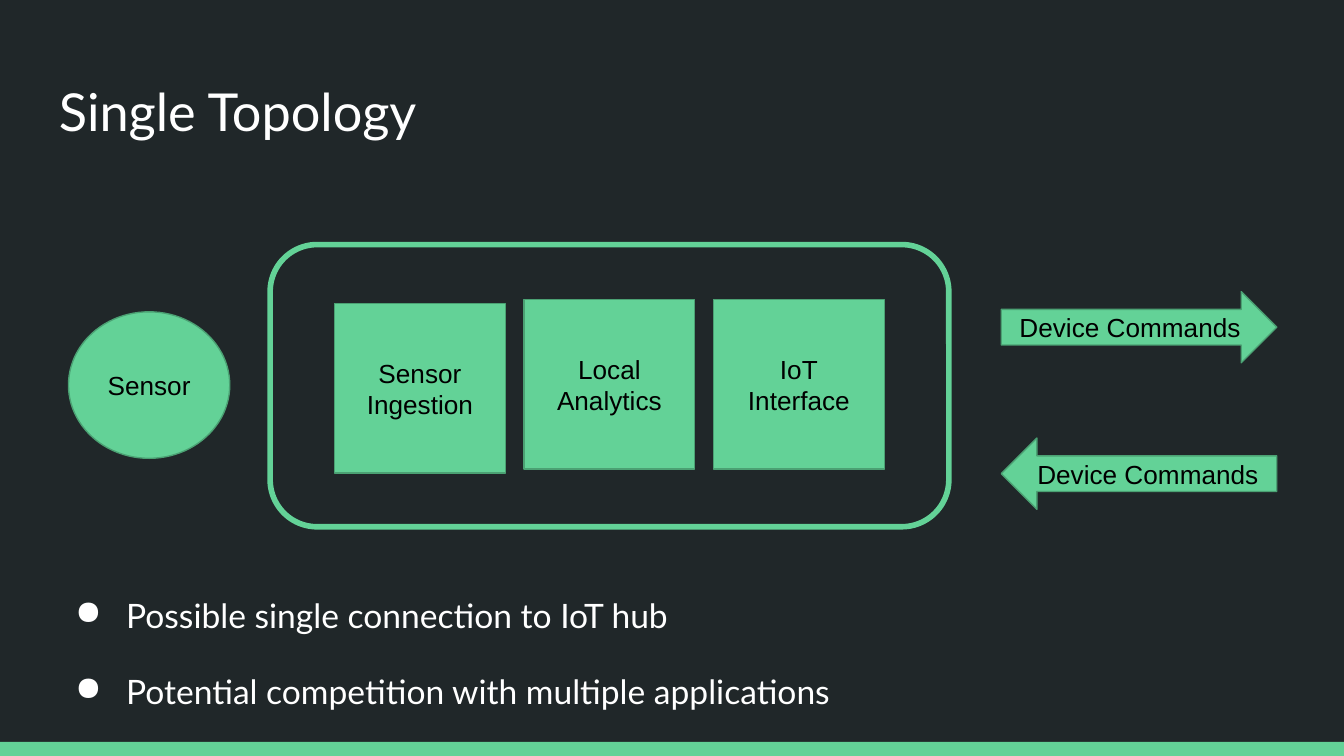
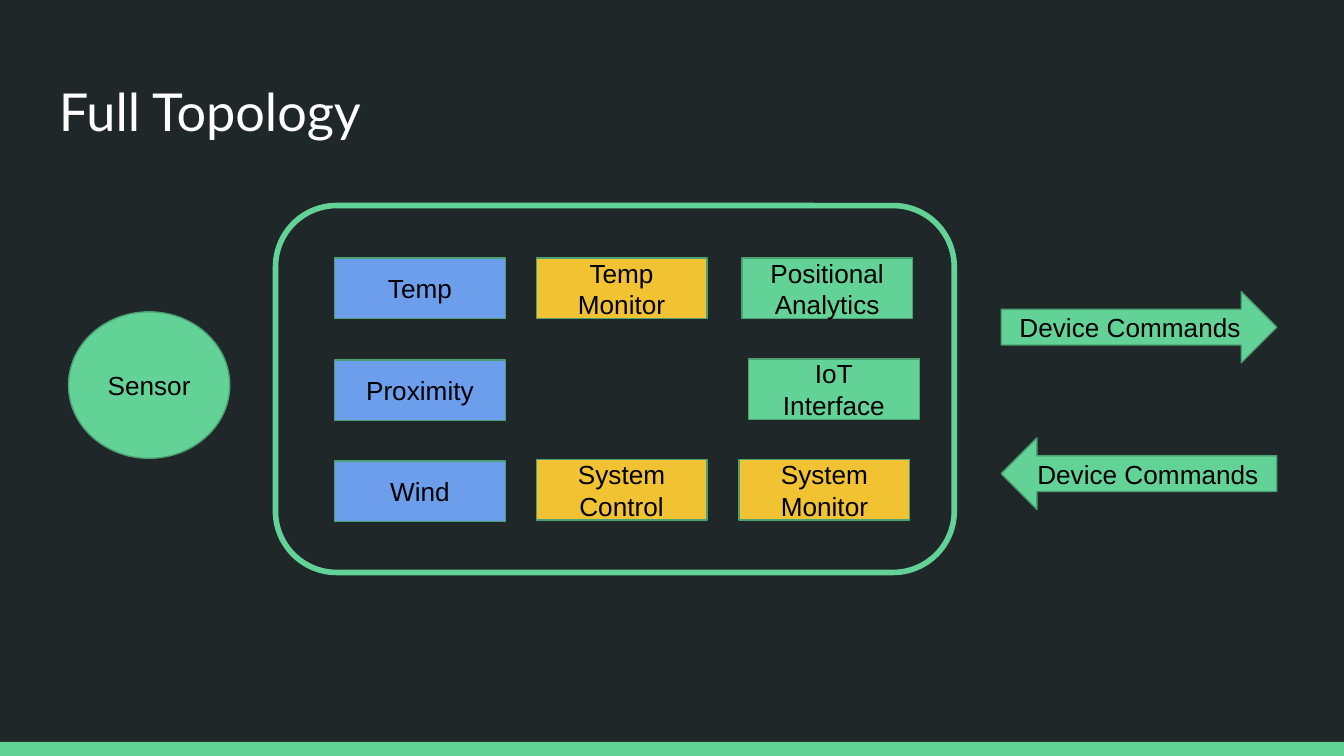
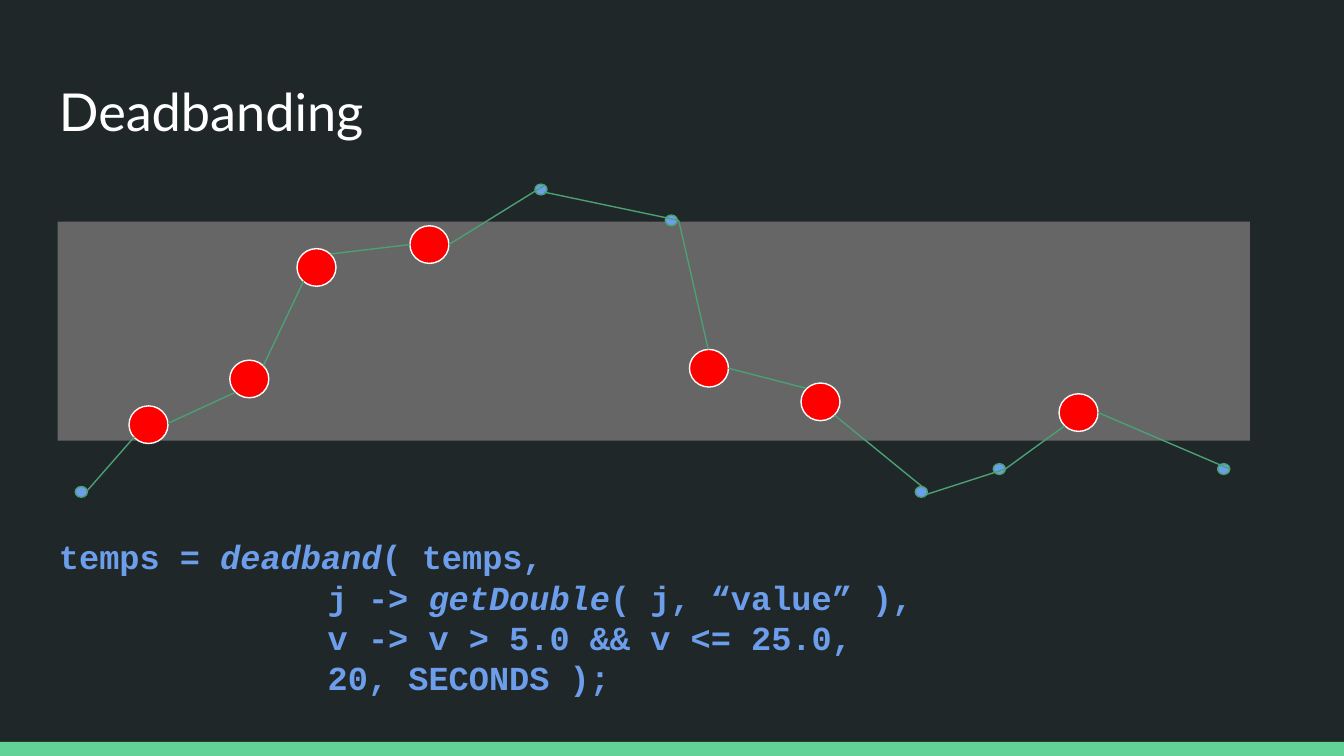
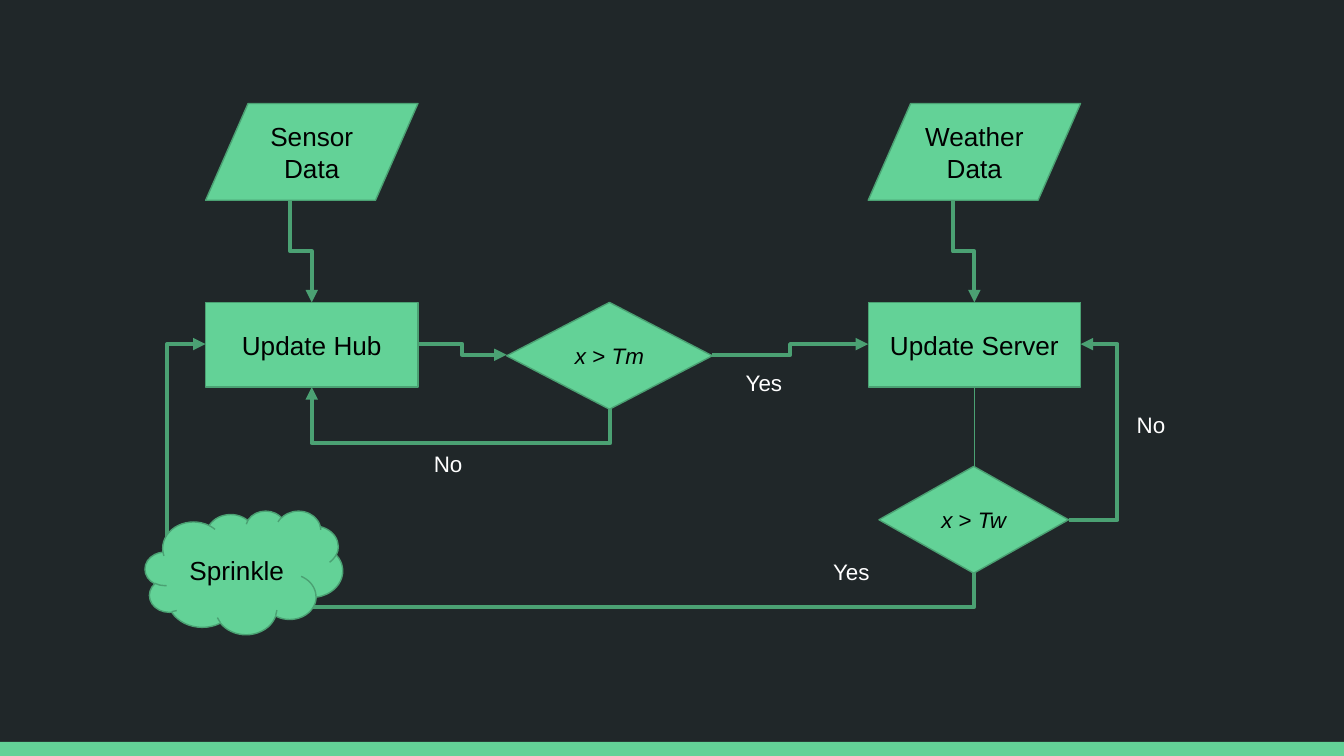
import pptx
import pptx.dml.color
import pptx.enum.shapes
import pptx.enum.text
import pptx.oxml.ns
import pptx.util
import lxml.etree

KIND = pptx.enum.shapes.MSO_SHAPE
CONNECTOR = pptx.enum.shapes.MSO_CONNECTOR
ALIGN = pptx.enum.text.PP_ALIGN
ANCHOR = pptx.enum.text.MSO_ANCHOR
qn = pptx.oxml.ns.qn

DARK, WHITE, BLACK = "202729", "FFFFFF", "000000"
GREEN, EDGE, BLUE, YELLOW = "63D297", "4BA173", "6D9EEB", "F1C232"
RED, GRAY = "FF0000", "666666"

presentation = pptx.Presentation()
presentation.slide_width = pptx.util.Inches(10)
presentation.slide_height = pptx.util.Inches(5.625)
COLUMN = ROW = presentation.slide_width / 100


def paint(color_format, color):
    color_format.rgb = pptx.dml.color.RGBColor.from_string(color)


def write(shape, text, size=14, font="Arial", color=BLACK, bold=False, align=ALIGN.LEFT,
          anchor=ANCHOR.TOP, bullet=None, margin=0, hanging_indent=0, indent=0,
          line_spacing=None, space_after=0):
    frame = shape.text_frame
    frame.word_wrap = True
    frame.vertical_anchor = anchor
    frame.margin_left = frame.margin_right = pptx.util.Inches(0.1)
    frame.margin_top = frame.margin_bottom = pptx.util.Inches(0.1)
    for number, line in enumerate(text.split("\n")):
        paragraph = frame.add_paragraph() if number else frame.paragraphs[0]
        paragraph.alignment = align
        paragraph.space_after = pptx.util.Pt(space_after)
        if line_spacing:
            paragraph.line_spacing = line_spacing
        properties = paragraph._p.get_or_add_pPr()
        if bullet:
            lxml.etree.SubElement(properties, qn("a:buChar")).set("char", bullet)
        if bullet or number:
            properties.set("marL", str(int(margin * COLUMN)))
            properties.set("indent", str(int((hanging_indent if bullet else indent) * COLUMN)))
        for part, piece in enumerate(line.split("*")):
            if piece:
                run = paragraph.add_run()
                run.text = piece
                run.font.size = pptx.util.Pt(size)
                run.font.name = font
                run.font.bold = bold
                run.font.italic = part % 2 == 1
                paint(run.font.color, color)


background = presentation.slide_master.background.fill
background.solid()
paint(background.fore_color, DARK)

slides = [presentation.slides.add_slide(presentation.slide_layouts[6]) for _ in range(4)]
single, full, deadbanding, flow = slides

shapes = [(slide, KIND.RECTANGLE, 0, 55.2, 100, 1.05, GREEN, None, "") for slide in slides]

for slide, frame_box in ((single, (20.1, 18.2, 50.5, 21)), (full, (20.5, 15.3, 50.5, 27.3))):
    shapes += [
        (slide, KIND.OVAL, 5.1, 23.2, 12, 10.9, GREEN, EDGE, "Sensor"),
        (slide, KIND.ROUNDED_RECTANGLE, *frame_box, None, GREEN, ""),
        (slide, KIND.LEFT_ARROW, 74.5, 32.6, 20.5, 5.3, GREEN, EDGE, "Device Commands"),
        (slide, KIND.RIGHT_ARROW, 74.5, 21.7, 20.5, 5.3, GREEN, EDGE, "Device Commands"),
    ]

stages = ("Sensor\nIngestion", 22.6), ("Local\nAnalytics", 22.3), ("IoT\nInterface", 22.3)
for column, (text, top) in enumerate(stages):
    shapes.append((single, KIND.RECTANGLE, 24.9 + 14.1 * column, top, 12.7, 12.6,
                   GREEN, EDGE, text))

for left, top, color, text in (
    (24.9, 19.2, BLUE, "Temp"),
    (24.9, 26.8, BLUE, "Proximity"),
    (24.9, 34.3, BLUE, "Wind"),
    (39.9, 19.2, YELLOW, "Temp Monitor"),
    (39.9, 34.2, YELLOW, "System Control"),
    (55, 34.2, YELLOW, "System\nMonitor"),
    (55.2, 19.2, GREEN, "Positional\nAnalytics"),
    (55.7, 26.7, GREEN, "IoT\nInterface"),
):
    shapes.append((full, KIND.RECTANGLE, left, top, 12.7, 4.5, color, EDGE, text))

shapes.append((deadbanding, KIND.RECTANGLE, 4.3, 16.5, 88.7, 16.3, GRAY, None, ""))
inside_band = ((9.6, 30.2), (17.1, 26.8), (22.1, 18.5), (30.5, 16.8),
               (51.3, 26), (59.6, 28.5), (78.8, 29.3))
outside_band = ((5.6, 36.2), (39.8, 13.7), (49.5, 16), (68.1, 36.2), (73.9, 34.5), (90.6, 34.5))
for points, width, height, color, line in (
    (inside_band, 2.9, 2.8, RED, WHITE),
    (outside_band, 0.9, 0.8, BLUE, EDGE),
):
    for left, top in points:
        shapes.append((deadbanding, KIND.OVAL, left, top, width, height, color, line, ""))

for left, source, update in ((15.3, "Sensor Data", "Update Hub"),
                             (64.6, "Weather Data", "Update Server")):
    shapes += [
        (flow, KIND.FLOWCHART_DATA, left, 7.7, 15.8, 7.2, GREEN, EDGE, source),
        (flow, KIND.FLOWCHART_PROCESS, left, 22.5, 15.8, 6.3, GREEN, EDGE, update),
    ]
shapes += [
    (flow, KIND.FLOWCHART_DECISION, 37.7, 22.5, 15.3, 7.95, GREEN, EDGE, "*x* > *Tm*"),
    (flow, KIND.FLOWCHART_DECISION, 65.4, 34.7, 14.1, 7.95, GREEN, EDGE, "*x* > *Tw*"),
    (flow, KIND.CLOUD, 10.8, 38, 14.7, 9.2, GREEN, EDGE, "Sprinkle"),
]

nodes = {}
for slide, kind, left, top, width, height, color, line, text in shapes:
    shape = slide.shapes.add_shape(kind, int(left * COLUMN), int(top * ROW),
                                   int(width * COLUMN), int(height * ROW))
    shape.shadow.inherit = False
    if color:
        shape.fill.solid()
        paint(shape.fill.fore_color, color)
    else:
        shape.fill.background()
    if line:
        paint(shape.line.color, line)
        shape.line.width = pptx.util.Pt(0.75 if color else 3)
    else:
        shape.line.fill.background()
    if text:
        write(shape, text, size=12 if kind == KIND.FLOWCHART_DECISION else 14,
              align=ALIGN.CENTER, anchor=ANCHOR.MIDDLE)
        nodes[text] = shape

lines = [(deadbanding, begin, end, 0.75, None) for begin, end in (
    ((6.5, 36.5), (10, 32.5)),
    ((12.5, 31.5), (17.5, 29.2)),
    ((19.6, 27.2), (22.6, 20.9)),
    ((24.6, 18.9), (30.5, 18.2)),
    ((33.4, 18.2), (40.5, 13.8)),
    ((40.5, 14.3), (50.5, 16.4)),
    ((50.5, 16.4), (52.7, 26)),
    ((54.2, 27.4), (60, 28.9)),
    ((62.1, 30.9), (68.6, 36.2)),
    ((68.9, 36.8), (74.8, 34.9)),
    ((74.8, 34.9), (79.2, 31.7)),
    ((81.7, 30.7), (91.5, 34.9)),
)]
TOP, LEFT, BOTTOM, RIGHT = range(4)
DATA_BOTTOM = 3
lines += [(flow, begin, end, width, route) for begin, end, width, *route in (
    ((31.1, 25.6), (37.7, 26.4), 2.25, "Update Hub", RIGHT, "*x* > *Tm*", LEFT, 0, 0.5),
    ((45.4, 30.4), (23.2, 28.8), 2.25, "*x* > *Tm*", BOTTOM, "Update Hub", BOTTOM, 90, -1.61),
    ((53, 26.4), (64.6, 25.6), 2.25, "*x* > *Tm*", RIGHT, "Update Server", LEFT, 180, 0.5),
    ((21.6, 14.9), (23.2, 22.5), 2.25, "Sensor Data", DATA_BOTTOM, "Update Hub", TOP, 270, 0.5),
    ((70.9, 14.9), (72.5, 22.5), 2.25, "Weather Data", DATA_BOTTOM, "Update Server", TOP, 270, 0.5),
    ((72.5, 28.8), (72.5, 34.7), 0.75, "Update Server", BOTTOM, "*x* > *Tw*", TOP, 270, 0.5),
    ((79.5, 38.7), (80.4, 25.6), 2.25, "*x* > *Tw*", RIGHT, "Update Server", RIGHT, 180, 4.03),
    ((72.5, 42.6), (15.3, 25.6), 2.25, "*x* > *Tw*", BOTTOM, "Update Hub", LEFT, 90, -0.15, 1.05),
)]

for slide, begin, end, width, route in lines:
    connector = slide.shapes.add_connector(
        CONNECTOR.ELBOW if route else CONNECTOR.STRAIGHT,
        *(int(value * COLUMN) for value in begin + end))
    paint(connector.line.color, EDGE)
    connector.line.width = pptx.util.Pt(width)
    properties = connector._element.spPr
    if route:
        source, source_site, target, target_site, rotation, *bends = route
        connector.begin_connect(nodes[source], source_site)
        connector.end_connect(nodes[target], target_site)
        across, down = abs(end[0] - begin[0]), abs(end[1] - begin[1])
        if rotation in (90, 270):
            across, down = down, across
        connector.left = int(((begin[0] + end[0] - across) / 2) * COLUMN)
        connector.top = int(((begin[1] + end[1] - down) / 2) * ROW)
        connector.width, connector.height = int(across * COLUMN), int(down * ROW)
        transform = properties.find(qn("a:xfrm"))
        transform.attrib.pop("flipV", None)
        transform.set("rot", str(rotation * 60000))
        transform.set("flipH", "1" if rotation else "0")
        geometry = properties.find(qn("a:prstGeom"))
        geometry.set("prst", f"bentConnector{len(bends) + 2}")
        for number, bend in enumerate(bends, 1):
            guide = lxml.etree.SubElement(geometry.find(qn("a:avLst")), qn("a:gd"))
            guide.set("name", f"adj{number}")
            guide.set("fmla", f"val {round(bend * 100000)}")
        if width > 1:
            arrowhead = lxml.etree.SubElement(properties.find(qn("a:ln")), qn("a:tailEnd"))
            arrowhead.set("type", "triangle")
    lxml.etree.SubElement(properties, qn("a:effectLst"))

flow.shapes._spTree.append(nodes["Sprinkle"]._element)

title_style = dict(size=28, font="Lato", color=WHITE)
bullet_style = dict(size=18, font="Lato", color=WHITE, bullet="●", margin=5,
                    hanging_indent=-3.8, line_spacing=1.15, space_after=16)
code_style = dict(size=18, font="Courier New", color=BLUE, bold=True, margin=15, indent=5)
label_style = dict(size=12, color=WHITE)

bullets = "Possible single connection to IoT hub\nPotential competition with multiple applications"
code = """temps = *deadband*( temps,
j -> *getDouble*( j, “value” ),
v -> v > 5.0 && v <= 25.0,
20, SECONDS );"""

texts = [(slide, 3.4, 4.9, 93.2, 6.3, title, title_style) for slide, title in (
    (single, "Single Topology"), (full, "Full Topology"), (deadbanding, "Deadbanding"))]
texts += [
    (single, 3.4, 42.8, 93.2, 11.9, bullets, bullet_style),
    (deadbanding, 3.4, 38.9, 93.2, 14.2, code, code_style),
]
texts += [(flow, left, top, 6, 4.2, answer, label_style) for left, top, answer in (
    (54.5, 26.5, "Yes"), (61, 40.5, "Yes"), (83.6, 29.6, "No"), (31.3, 32.5, "No"))]

for slide, left, top, width, height, text, style in texts:
    box = slide.shapes.add_textbox(int(left * COLUMN), int(top * ROW),
                                   int(width * COLUMN), int(height * ROW))
    write(box, text, **style)

presentation.save("out.pptx")
